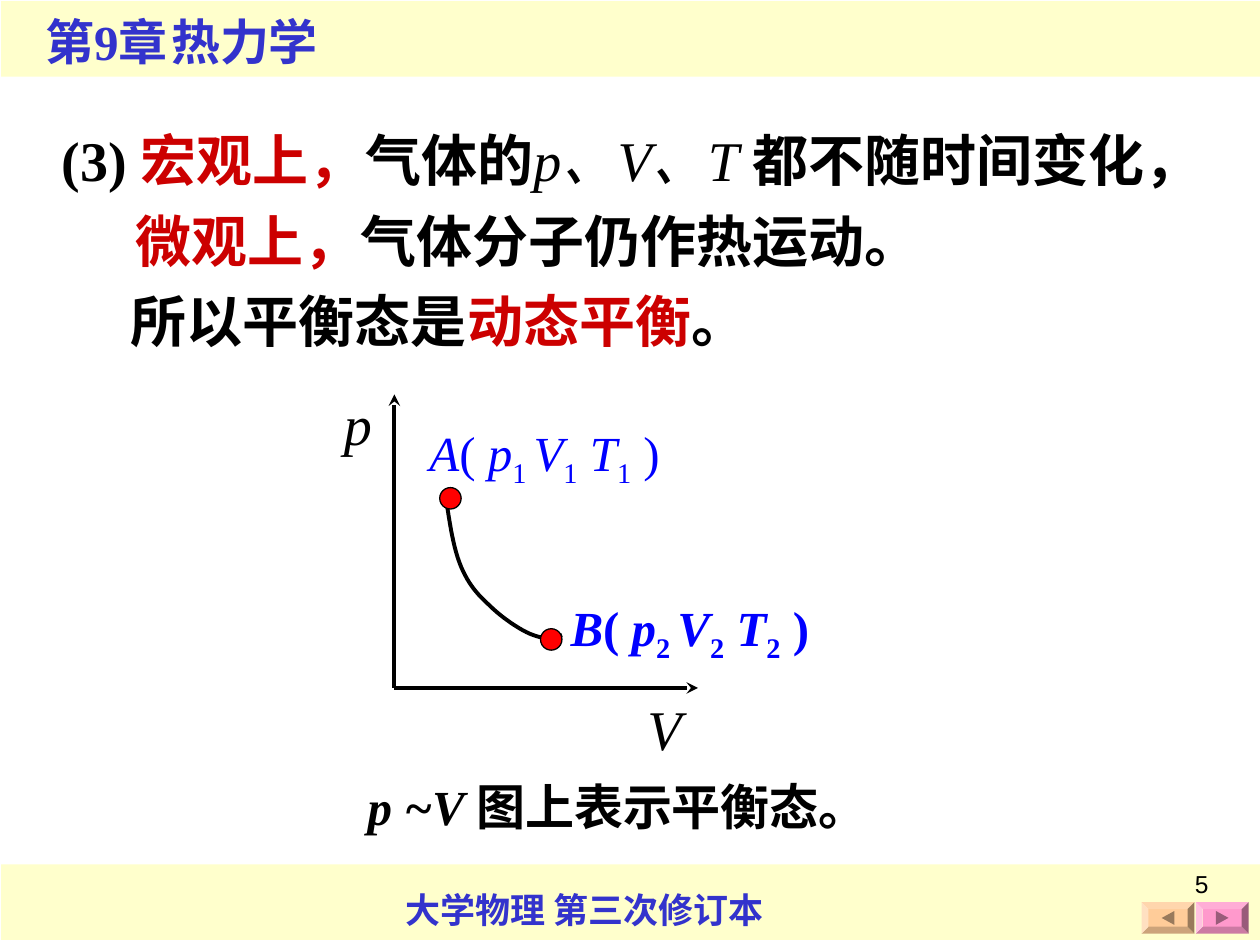
from pptx import Presentation
from pptx.dml.color import RGBColor
from pptx.enum.shapes import MSO_CONNECTOR, MSO_SHAPE
from pptx.enum.text import PP_ALIGN
from pptx.oxml.ns import qn
from pptx.util import Inches, Pt
from lxml import etree

RECT, OVAL, BEVEL, TRIANGLE = (
    MSO_SHAPE.RECTANGLE, MSO_SHAPE.OVAL, MSO_SHAPE.BEVEL, MSO_SHAPE.ISOSCELES_TRIANGLE)
STRAIGHT = MSO_CONNECTOR.STRAIGHT
RIGHT = PP_ALIGN.RIGHT

COLORS = {
    "band": "FFFFCC", "heading": "3333CC", "body": "000000", "emphasis": "CC0000",
    "state": "0000FF", "dot": "FF0000", "back": "FFCC99", "back_arrow": "997A5C",
    "next": "FF99CC", "next_arrow": "995C7A",
}
EMPHASIS = {"color": "emphasis"}
ITALIC = {"italic": True}
LIGHT_ITALIC = {"bold": False, "italic": True}
SUBSCRIPT = {"baseline": -25000}


class SlideBuilder:
    """Draws styled elements on the current slide."""

    def __init__(self, slide):
        self.slide = slide
        self.font = {"name": "Times New Roman", "size": Pt(28), "bold": False,
                     "italic": False, "color": "body"}

    def rgb(self, key):
        return RGBColor.from_string(COLORS[key])

    def outline(self, line, width):
        line.color.rgb = self.rgb("body")
        line.width = Pt(width)

    def shape(self, kind, box, fill, border=None, rotation=0):
        shape = self.slide.shapes.add_shape(kind, *map(Inches, box))
        shape.shadow.inherit = False
        shape.rotation = rotation
        shape.fill.solid()
        shape.fill.fore_color.rgb = self.rgb(fill)
        if border:
            self.outline(shape.line, border)
        else:
            shape.line.fill.background()
        return shape

    def run(self, paragraph, text, style):
        run = paragraph.add_run()
        run.text = text
        for key, value in style.items():
            if key == "color":
                run.font.color.rgb = self.rgb(value)
            elif key == "baseline":
                run._r.get_or_add_rPr().set("baseline", str(value))
            else:
                setattr(run.font, key, value)

    def indent(self, paragraph, margin=0, first=0, tab=None):
        properties = paragraph._p.get_or_add_pPr()
        properties.set("marL", str(Inches(margin)))
        properties.set("indent", str(Inches(first)))
        if tab:
            stops = etree.SubElement(properties, qn("a:tabLst"))
            etree.SubElement(stops, qn("a:tab"), pos=str(Inches(tab)), algn="l")

    def text(self, box, paragraphs, layout=None, **style):
        frame = self.slide.shapes.add_textbox(*map(Inches, box)).text_frame
        frame.word_wrap = True
        for index, (indents, runs) in enumerate(paragraphs):
            paragraph = frame.add_paragraph() if index else frame.paragraphs[0]
            self.indent(paragraph, **indents)
            for key, value in (layout or {}).items():
                setattr(paragraph, key, value)
            for content, changes in runs:
                self.run(paragraph, content, {**self.font, **style, **changes})

    def axis(self, start, end):
        axis = self.slide.shapes.add_connector(STRAIGHT, *map(Inches, start + end))
        self.outline(axis.line, 2.25)
        etree.SubElement(axis.line._get_or_add_ln(), qn("a:tailEnd"), type="stealth")
        etree.SubElement(axis._element.spPr, qn("a:effectLst"))

    def curve(self, start, segments, steps=12):
        points = [start]
        for a, b, end in segments:
            origin = points[-1]
            for step in range(1, steps + 1):
                t = step / steps
                u = 1 - t
                points.append(tuple(
                    u**3 * p + 3 * u * u * t * q + 3 * u * t * t * r + t**3 * s
                    for p, q, r, s in zip(origin, a, b, end)))
        corners = [tuple(map(Inches, point)) for point in points]
        builder = self.slide.shapes.build_freeform(*corners[0])
        builder.add_line_segments(corners[1:], close=False)
        process = builder.convert_to_shape()
        process.shadow.inherit = False
        process.fill.background()
        self.outline(process.line, 2.25)

    def button(self, left, name, rotation):
        face = self.shape(BEVEL, (left, 7.16, 0.42, 0.25), name)
        face.adjustments[0] = 0.22
        self.shape(TRIANGLE, (left + 0.155, 7.235, 0.11, 0.1), name + "_arrow",
                   rotation=rotation)

    def state(self, box, dot, letter, number, **style):
        runs = [(letter, ITALIC), ("( ", {}), ("p", ITALIC), (number + " ", SUBSCRIPT),
                ("V", ITALIC), (number, SUBSCRIPT), (" T", ITALIC),
                (number, SUBSCRIPT), (" )", {})]
        self.text(box, [({}, runs)], color="state", **style)
        self.shape(OVAL, (*dot, 0.17, 0.17), "dot", 0.75)


def main():
    deck = Presentation()
    deck.slide_width, deck.slide_height = Inches(10), Inches(7.5)
    page = SlideBuilder(deck.slides.add_slide(deck.slide_layouts[6]))

    for top in (6.86, 0.01):
        page.shape(RECT, (0.01, top, 9.99, 0.6), "band")
    heading = {"color": "heading", "bold": True}
    page.text((3.12, 7, 3.12, 0.44), [({}, [("大学物理 第三次修订本", {})])],
              size=Pt(20), **heading)
    page.text((0.26, 0.04, 3.1, 0.57), [({"tab": 1.43}, [("第9章\t热力学", {})])], **heading)
    page.button(9.49, "next", 90)
    page.button(9.06, "back", 270)

    macro_micro = [("(3) ", {}), ("宏观上，", EMPHASIS), ("气体的", {}),
                   ("p、V、T ", LIGHT_ITALIC), ("都不随时间变化，\t", {}),
                   ("微观上，", EMPHASIS), ("气体分子仍作热运动。", {})]
    conclusion = [("所以平衡态是", {}), ("动态平衡", EMPHASIS), ("。", {})]
    page.text((0.39, 0.84, 9.49, 2.02),
              [({"margin": 0.59, "first": -0.59, "tab": 1.8}, macro_micro),
               ({"margin": 0.55}, conclusion)],
              {"line_spacing": 1.2}, size=Pt(32), bold=True)
    page.text((2.72, 6.11, 4.57, 0.57),
              [({"margin": 0.1}, [("p ~V ", ITALIC), ("图上表示平衡态。", {})])], bold=True)

    origin = (3.13, 5.46)
    for end, label, corner in (((5.54, 5.46), "V", (5.04, 5.46)),
                               ((3.13, 3.13), "p", (2.63, 3.04))):
        page.axis(origin, end)
        page.text((*corner, 0.58, 0.64), [({}, [(label, ITALIC)])], size=Pt(32))
    page.curve((3.54, 3.96), [
        ((3.57, 4.16), (3.6, 4.36), (3.66, 4.5)),
        ((3.72, 4.64), (3.79, 4.72), (3.89, 4.81)),
        ((3.98, 4.9), (4.14, 5.01), (4.23, 5.04)),
        ((4.33, 5.08), (4.41, 5.06), (4.46, 5.04)),
    ])
    page.state((3.31, 3.3, 2.64, 0.63), (3.49, 3.87), "A", "1")
    page.state((4.43, 4.69, 2.78, 0.63), (4.29, 4.99), "B", "2", bold=True)
    page.text((7.36, 6.85, 2.33, 0.52), [({}, [("5", {})])], {"alignment": RIGHT},
              name="Arial", size=Pt(14))
    deck.save("out.pptx")


if __name__ == "__main__":
    main()
